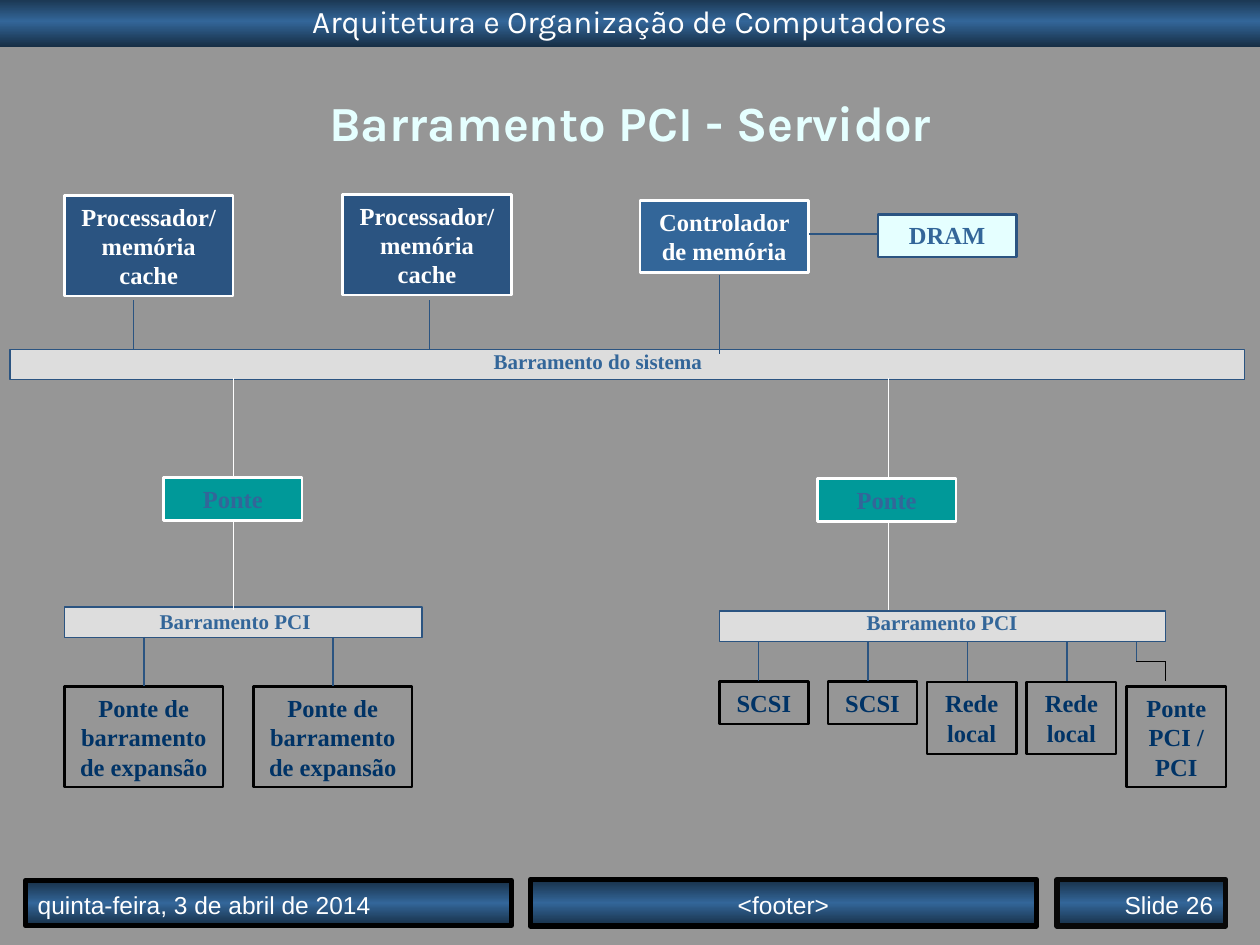
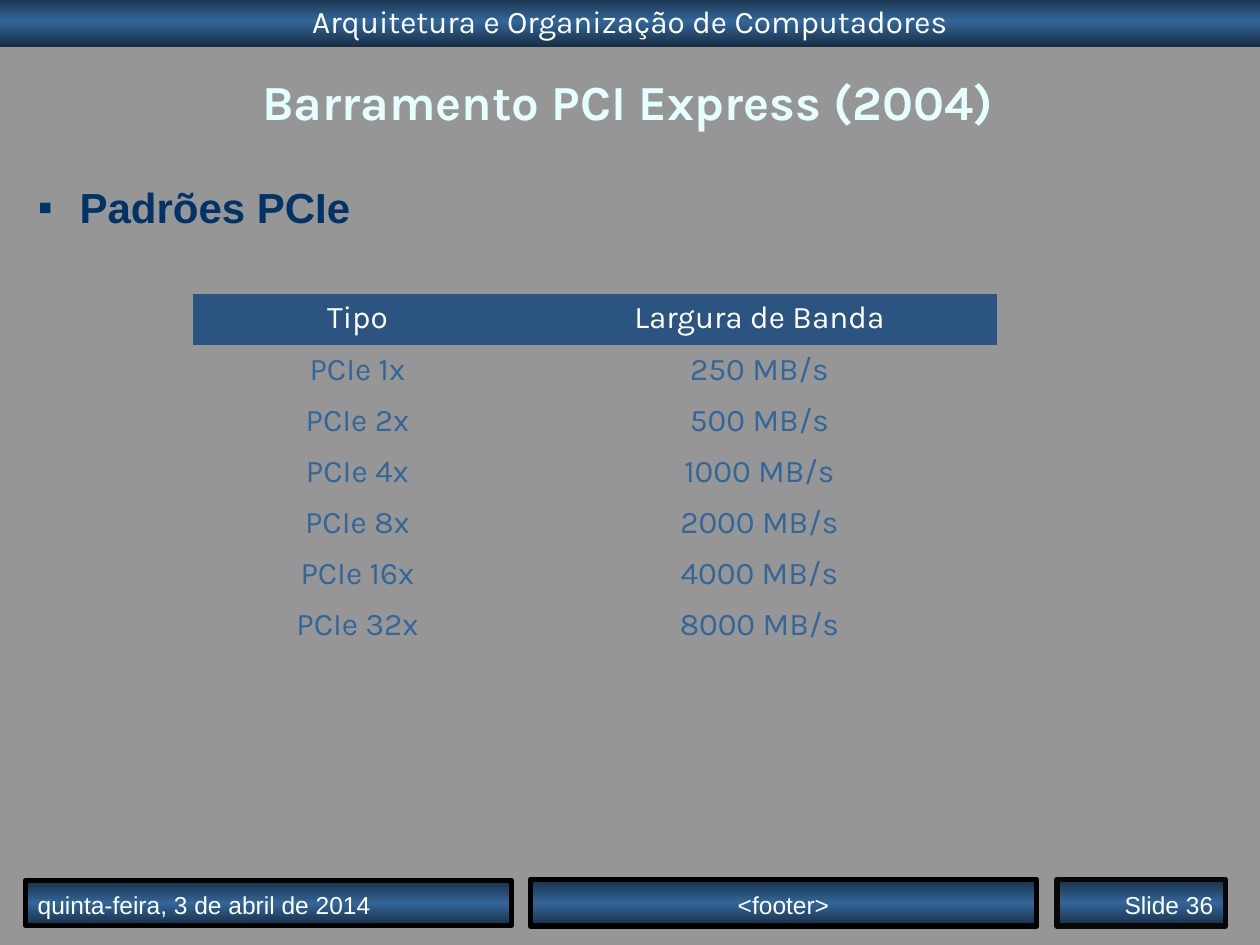
"""Build two slides on the PCI bus: a server diagram and a table of PCIe rates."""
import copy
import dataclasses
import itertools

import lxml.etree
import pptx
import pptx.dml.color
import pptx.enum.shapes
import pptx.enum.text
import pptx.oxml.ns
import pptx.util

ALIGN = pptx.enum.text.PP_ALIGN
ANCHOR = pptx.enum.text.MSO_ANCHOR
qn = pptx.oxml.ns.qn


@dataclasses.dataclass(frozen=True)
class Theme:
    back: str = "969696"
    dark: str = "172F46"
    blue: str = "336699"
    deep: str = "2B5481"
    navy: str = "003366"
    ice: str = "E5FFFF"
    teal: str = "009999"
    pale: str = "DDDDDD"
    white: str = "FFFFFF"
    black: str = "000000"
    coal: str = "080808"
    head: str = "Karla"
    sans: str = "Arial"
    serif: str = "Times New Roman"
    title: float = 28
    list: float = 24
    text: float = 18
    node: float = 14
    label: float = 12
    thin: float = 0.75
    edge: float = 1.5
    frame: float = 3


T = Theme()


@dataclasses.dataclass(frozen=True)
class Rect:
    x: float
    y: float
    w: float
    h: float


@dataclasses.dataclass(frozen=True)
class Style:
    font: str
    size: float
    ink: str
    bold: bool = False
    align: ALIGN = ALIGN.CENTER
    anchor: ANCHOR = ANCHOR.TOP
    space: float = 1.0


@dataclasses.dataclass(frozen=True)
class Node:
    text: str
    rect: Rect
    ink: str = T.navy
    fill: str | None = None
    edge: str = T.black


@dataclasses.dataclass(frozen=True)
class Bus:
    text: str
    rect: Rect
    left: float
    top: float


@dataclasses.dataclass(frozen=True)
class Wire:
    points: tuple[tuple[float, float], ...]
    ink: str = T.deep


@dataclasses.dataclass(frozen=True)
class Band:
    text: str
    rect: Rect
    style: Style
    edge: str | None = None


HEAD = Style(T.head, T.title, T.ice, True)
FOOT = Style(T.sans, T.node, T.white, anchor=ANCHOR.BOTTOM)
LIST = Style(T.sans, T.list, T.navy, True, ALIGN.LEFT)
LABEL = Style(T.serif, T.label, T.blue, True, ALIGN.LEFT)

BANDS = [
    Band("Arquitetura e Organização de Computadores", Rect(0, -0.08, 25.4, 1.02),
         Style(T.head, T.text, T.white)),
    Band("quinta-feira, 3 de abril de 2014", Rect(0.51, 17.75, 9.8, 0.91),
         dataclasses.replace(FOOT, align=ALIGN.LEFT), T.black),
    Band("<footer>", Rect(10.69, 17.73, 10.21, 0.94), FOOT, T.black),
    Band("Slide {}", Rect(21.31, 17.73, 3.4, 0.94),
         dataclasses.replace(FOOT, align=ALIGN.RIGHT), T.coal),
]

BUSES = [
    Bus("Barramento do sistema", Rect(0.2, 7.04, 24.89, 0.61), 9.7, 6.91),
    Bus("Barramento PCI", Rect(1.3, 12.24, 7.21, 0.61), 2.97, 12.14),
    Bus("Barramento PCI", Rect(14.5, 12.32, 8.99, 0.61), 17.22, 12.17),
]

NODES = [
    *(Node("Processador/memória cache", Rect(x, y, 3.4, 2.03), T.white, T.deep, T.white)
      for x, y in ((1.3, 3.94), (6.91, 3.92))),
    Node("Controlador de memória", Rect(12.9, 4.04, 3.4, 1.45), T.white, T.blue, T.white),
    Node("DRAM", Rect(17.7, 4.32, 2.79, 0.86), T.blue, T.ice, T.deep),
    *(Node("Ponte", Rect(x, y, 2.79, 0.86), T.blue, T.teal, T.white)
      for x, y in ((3.3, 9.63), (16.48, 9.65))),
    *(Node("Ponte de barramento de expansão", Rect(x, 13.84, 3.2, 2.03))
      for x in (1.3, 5.11)),
    *(Node("SCSI", Rect(x, 13.74, 1.8, 0.86)) for x in (14.5, 16.69)),
    *(Node("Rede local", Rect(x, 13.75, 1.8, 1.45)) for x in (18.69, 20.7)),
    Node("Ponte PCI / PCI", Rect(22.71, 13.84, 2.01, 2.03)),
]


def drop(x: float, top: float, end: float, ink: str = T.deep) -> Wire:
    """Return an upright wire."""
    return Wire(((x, top), (x, end)), ink)


WIRES = [
    *(drop(x, 6.05, 7.04) for x in (2.69, 8.66)),
    drop(14.5, 5.54, 7.14),
    Wire(((16.31, 4.72), (17.7, 4.72))),
    *(drop(x, *ends, T.white) for x in (4.7, 17.91)
      for ends in ((7.62, 9.63), (10.5, 12.3))),
    *(drop(x, 12.84, 13.83) for x in (2.9, 6.71)),
    *(drop(x, 12.93, 13.72) for x in (15.29, 17.5, 19.51, 21.51)),
    drop(22.91, 12.93, 13.34),
    Wire(((22.91, 13.34), (23.5, 13.34), (23.5, 13.72)), T.black),
]

RATES = [("Tipo", "Largura de Banda")] + [
    (f"PCIe {2 ** n}x", f"{250 * 2 ** n} MB/s") for n in range(6)
]


def tint(code: str) -> pptx.dml.color.RGBColor:
    """Return a colour from its hex code."""
    return pptx.dml.color.RGBColor.from_string(code)


def span(rect: Rect) -> list[pptx.util.Length]:
    """Return a rectangle as four lengths."""
    return [pptx.util.Cm(v) for v in dataclasses.astuple(rect)]


def write(frame, text: str, style: Style) -> None:
    """Put one styled run in a text frame."""
    frame.word_wrap = True
    frame.vertical_anchor = style.anchor
    para = frame.paragraphs[0]
    para.alignment = style.align
    para.line_spacing = style.space
    para.space_before = pptx.util.Pt(0)
    run = para.add_run()
    run.text = text
    run.font.name = style.font
    run.font.size = pptx.util.Pt(style.size)
    run.font.bold = style.bold
    run.font.color.rgb = tint(style.ink)


def place(shape, rect: Rect, text: str, style: Style) -> None:
    """Move a placeholder and fill it with text."""
    shape.left, shape.top, shape.width, shape.height = span(rect)
    shape.text_frame.auto_size = pptx.enum.text.MSO_AUTO_SIZE.NONE
    write(shape.text_frame, text, style)


def block(slide, rect: Rect, fill: str | None, edge: str | None, width: float):
    """Draw a flat rectangle."""
    shape = slide.shapes.add_shape(pptx.enum.shapes.MSO_SHAPE.RECTANGLE, *span(rect))
    shape.shadow.inherit = False
    if fill:
        shape.fill.solid()
        shape.fill.fore_color.rgb = tint(fill)
    else:
        shape.fill.background()
    if edge:
        shape.line.color.rgb = tint(edge)
        shape.line.width = pptx.util.Pt(width)
    else:
        shape.line.fill.background()
    return shape


def shade(shape) -> None:
    """Give a shape the dark, blue, dark blend."""
    shape.fill.gradient()
    shape.fill.gradient_angle = 90
    stops = shape.element.spPr.find(".//" + qn("a:gsLst"))
    stops.append(copy.deepcopy(stops[0]))
    for stop, place_at, code in zip(shape.fill.gradient_stops, (0, 0.5, 1),
                                    (T.dark, T.blue, T.dark)):
        stop.position = place_at
        stop.color.rgb = tint(code)


def link(slide, wire: Wire) -> None:
    """Draw a wire as straight pieces."""
    for start, end in itertools.pairwise(wire.points):
        line = slide.shapes.add_connector(
            pptx.enum.shapes.MSO_CONNECTOR.STRAIGHT,
            *(pptx.util.Cm(v) for v in start + end))
        line.line.color.rgb = tint(wire.ink)
        line.line.width = pptx.util.Pt(T.thin)
        lxml.etree.SubElement(line.element.spPr, qn("a:effectLst"))


def start(deck, layout: int, number: int, title: str, rect: Rect, style: Style):
    """Add a slide with its bands and title."""
    slide = deck.slides.add_slide(deck.slide_layouts[layout])
    for band in BANDS:
        shape = block(slide, band.rect, None, band.edge, T.frame)
        shade(shape)
        write(shape.text_frame, band.text.format(number), band.style)
    place(slide.shapes.title, rect, title, style)
    return slide


def server(deck) -> None:
    """Draw the server bus diagram."""
    slide = start(deck, 5, 26, "Barramento PCI - Servidor", Rect(0, 1.73, 25.4, 1.45), HEAD)
    for bus in BUSES:
        block(slide, bus.rect, T.pale, T.deep, T.thin)
        label = slide.shapes.add_textbox(*span(Rect(bus.left, bus.top, 4.8, 0.76)))
        write(label.text_frame, bus.text, LABEL)
    for node in NODES:
        shape = block(slide, node.rect, node.fill, node.edge, T.edge)
        write(shape.text_frame, node.text, Style(T.serif, T.node, node.ink, True))
    for wire in WIRES:
        link(slide, wire)


def bullet(para, mark: str, code: str) -> None:
    """Set a coloured bullet with a hanging indent."""
    props = para._p.get_or_add_pPr()
    indent = pptx.util.Cm(0.84)
    props.set("marL", str(indent))
    props.set("indent", str(-indent))
    ink = lxml.etree.SubElement(props, qn("a:buClr"))
    lxml.etree.SubElement(ink, qn("a:srgbClr"), val=code)
    lxml.etree.SubElement(props, qn("a:buChar"), char=mark)


def express(deck) -> None:
    """Draw the PCIe list and table."""
    slide = start(deck, 1, 36, "Barramento PCI Express (2004)", Rect(0, 1.73, 25.3, 0.97),
                  dataclasses.replace(HEAD, space=0.6))
    body = slide.placeholders[1]
    bullet(body.text_frame.paragraphs[0], "▪", T.navy)
    place(body, Rect(0.51, 3.53, 24.21, 1.27), "Padrões PCIe", LIST)

    high, wide = 1.03, (6.63, 9.58)
    rect = Rect(3.89, 5.92, sum(wide), high * len(RATES))
    table = slide.shapes.add_table(len(RATES), len(wide), *span(rect)).table
    table.horz_banding = table.first_row = False
    style = table._tbl.tblPr.find(qn("a:tableStyleId"))
    style.text = "{2D5ABB26-0587-4C30-8999-92F81FD0307C}"
    for column, width in zip(table.columns, wide):
        column.width = pptx.util.Cm(width)
    for r, row in enumerate(RATES):
        table.rows[r].height = pptx.util.Cm(high)
        for c, text in enumerate(row):
            cell = table.cell(r, c)
            if r == 0:
                cell.fill.solid()
                cell.fill.fore_color.rgb = tint(T.deep)
            else:
                cell.fill.background()
            ink = T.blue if r else T.white
            write(cell.text_frame, text, Style(T.head, T.text, ink))


def main() -> None:
    """Build and save the deck."""
    deck = pptx.Presentation()
    deck.slide_width, deck.slide_height = pptx.util.Cm(25.4), pptx.util.Cm(19.05)
    back = deck.slide_master.background.fill
    back.solid()
    back.fore_color.rgb = tint(T.back)
    server(deck)
    express(deck)
    deck.save("out.pptx")


if __name__ == "__main__":
    main()
